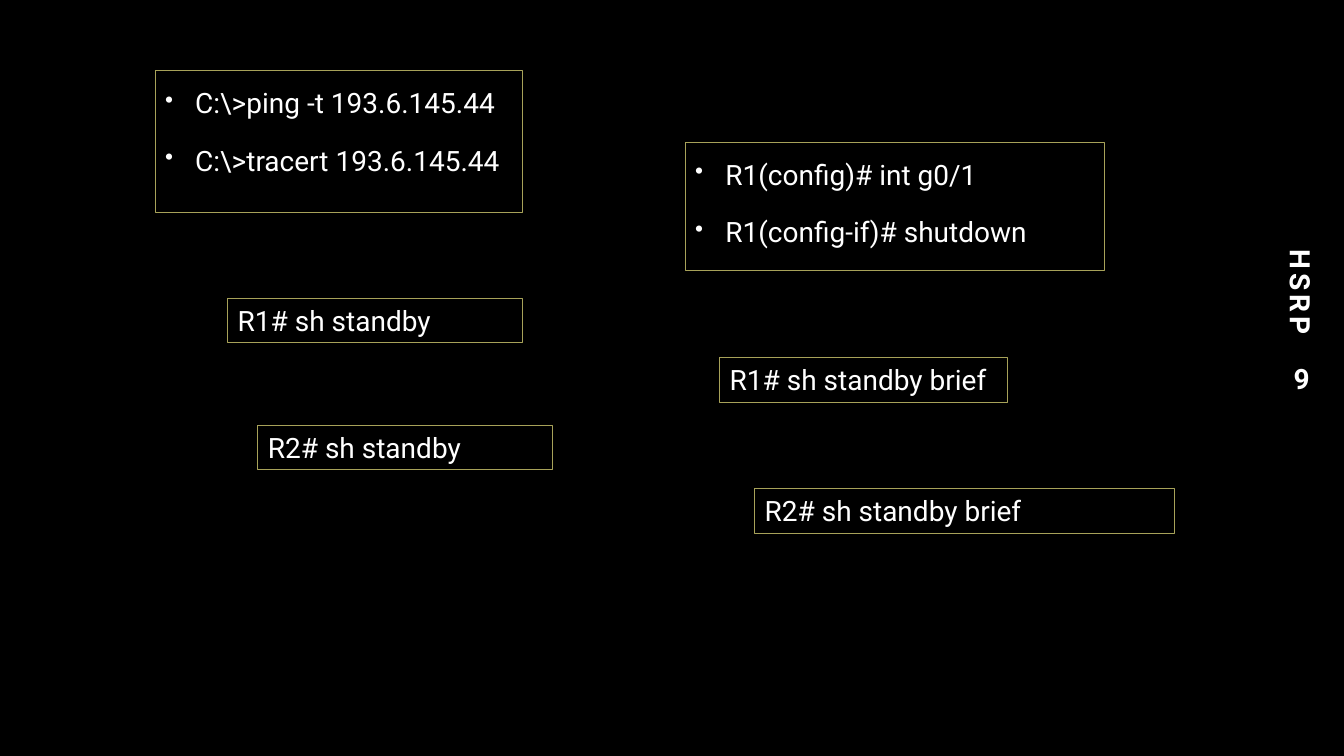
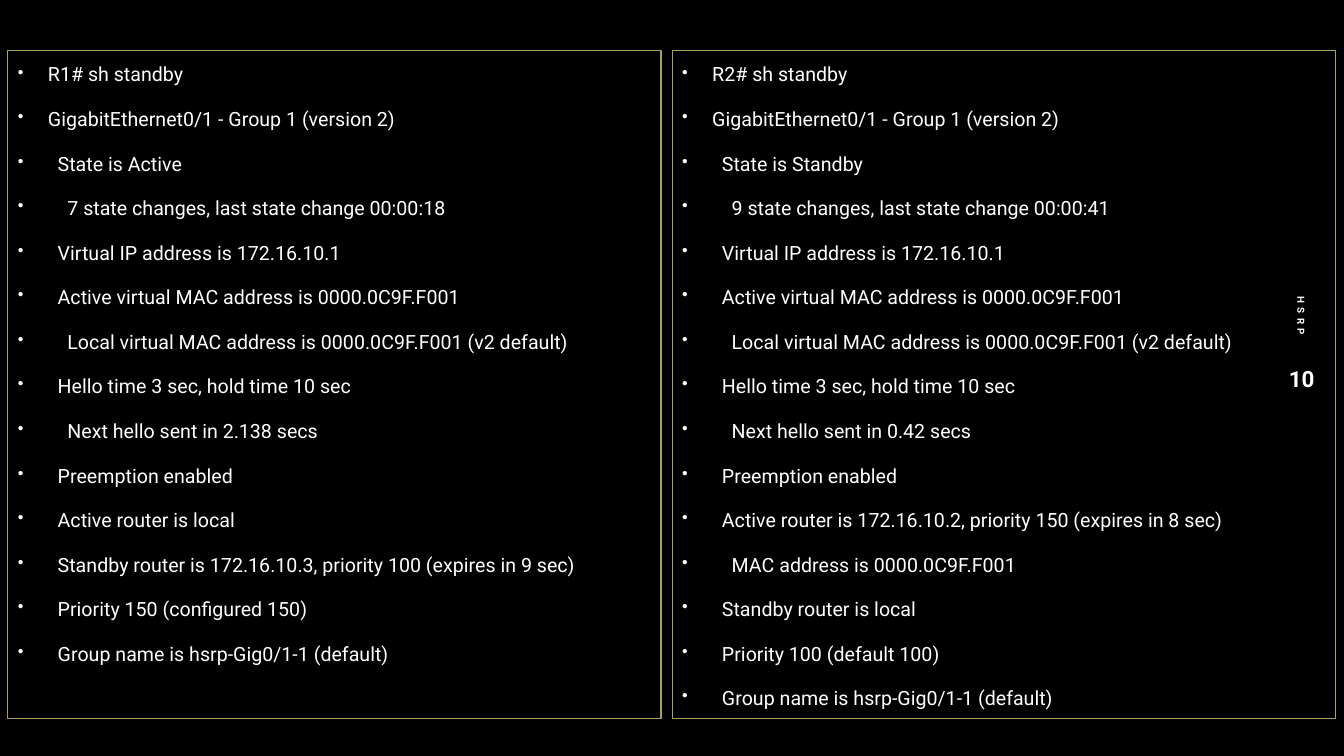
from lxml.etree import SubElement
from pptx import Presentation
from pptx.dml.color import RGBColor
from pptx.enum.text import MSO_ANCHOR, MSO_AUTO_SIZE, PP_ALIGN
from pptx.oxml.ns import qn
from pptx.util import Cm, Pt

COLOURS = {"background": "000000", "text": "FFFFFF", "border": "A7A259"}
FONT = "Roboto"
FOOTER = "HSRP"
COMMAND_HEIGHT = 1.12
OUTPUT_TOP, OUTPUT_HEIGHT = 1.27, 16.84

TEST_COMMANDS = [r"C:\>ping -t 193.6.145.44", r"C:\>tracert 193.6.145.44"]
SHUTDOWN_COMMANDS = ["R1(config)# int g0/1", "R1(config-if)# shutdown"]
COMMANDS = [
    ("R1# sh standby", 5.74, 7.52, 7.42),
    ("R1# sh standby brief", 18.14, 9.02, 7.26),
    ("R2# sh standby", 6.5, 10.72, 7.42),
    ("R2# sh standby brief", 19.02, 12.32, 10.57),
]
R1_OUTPUT = """R1# sh standby
GigabitEthernet0/1 - Group 1 (version 2)
  State is Active
    7 state changes, last state change 00:00:18
  Virtual IP address is 172.16.10.1
  Active virtual MAC address is 0000.0C9F.F001
    Local virtual MAC address is 0000.0C9F.F001 (v2 default)
  Hello time 3 sec, hold time 10 sec
    Next hello sent in 2.138 secs
  Preemption enabled
  Active router is local
  Standby router is 172.16.10.3, priority 100 (expires in 9 sec)
  Priority 150 (configured 150)
  Group name is hsrp-Gig0/1-1 (default)"""
R2_OUTPUT = """R2# sh standby
GigabitEthernet0/1 - Group 1 (version 2)
  State is Standby
    9 state changes, last state change 00:00:41
  Virtual IP address is 172.16.10.1
  Active virtual MAC address is 0000.0C9F.F001
    Local virtual MAC address is 0000.0C9F.F001 (v2 default)
  Hello time 3 sec, hold time 10 sec
    Next hello sent in 0.42 secs
  Preemption enabled
  Active router is 172.16.10.2, priority 150 (expires in 8 sec)
    MAC address is 0000.0C9F.F001
  Standby router is local
  Priority 100 (default 100)
  Group name is hsrp-Gig0/1-1 (default)"""


def colour(name):
    return RGBColor.from_string(COLOURS[name])


def add_box(page, left, top, width, height):
    box = page.shapes.add_textbox(Cm(left), Cm(top), Cm(width), Cm(height))
    box.text_frame.word_wrap = True
    return box


def add_border(box):
    box.line.color.rgb = colour("border")
    box.line.width = Pt(0.75)


def set_font(para, size, bold=False):
    font = para.font
    font.name = FONT
    font.size = Pt(size)
    font.bold = bold
    font.color.rgb = colour("text")


def add_bullet(para):
    properties = para._p.get_or_add_pPr()
    properties.set("marL", str(Cm(0.76)))
    properties.set("indent", str(Cm(-0.76)))
    SubElement(properties, qn("a:buSzPct"), val="85000")
    SubElement(properties, qn("a:buChar"), char="•")


def add_bullet_box(page, lines, place, size):
    box = add_box(page, *place)
    add_border(box)
    frame = box.text_frame
    for index, line in enumerate(lines):
        para = frame.add_paragraph() if index else frame.paragraphs[0]
        para.add_run().text = line
        add_bullet(para)
        para.line_spacing = 1.3
        para.space_before = Pt(10 if index else 0)
        set_font(para, size)


def add_command(page, text, left, top, width):
    box = add_box(page, left, top, width, COMMAND_HEIGHT)
    add_border(box)
    box.text_frame.auto_size = MSO_AUTO_SIZE.SHAPE_TO_FIT_TEXT
    para = box.text_frame.paragraphs[0]
    para.add_run().text = text
    set_font(para, 20)


def add_label(page, text, place, size, alignment):
    box = add_box(page, *place)
    box.text_frame.vertical_anchor = MSO_ANCHOR.MIDDLE
    para = box.text_frame.paragraphs[0]
    para.alignment = alignment
    para.add_run().text = text
    set_font(para, size, bold=True)
    return box


def add_footer(page, number, footer_size, number_size):
    footer = add_label(page, FOOTER, (29.08, 4.47, 7.42, 1.02), footer_size, PP_ALIGN.RIGHT)
    footer.rotation = 90
    span = footer.text_frame.paragraphs[0].runs[0]
    span._r.get_or_add_rPr().set("spc", "300")
    add_label(page, str(number), (31.93, 8.94, 1.75, 1.19), number_size, PP_ALIGN.CENTER)


def add_page(deck):
    return deck.slides.add_slide(deck.slide_layouts[6])


def build_commands_page(deck):
    page = add_page(deck)
    add_bullet_box(page, TEST_COMMANDS, (3.91, 1.78, 9.25, 3.58), 20)
    add_bullet_box(page, SHUTDOWN_COMMANDS, (17.27, 3.58, 10.57, 3.25), 20)
    for command in COMMANDS:
        add_command(page, *command)
    add_footer(page, 9, 20, 20)


def build_output_page(deck):
    page = add_page(deck)
    for output, left, width in ((R1_OUTPUT, 0.2, 16.46), (R2_OUTPUT, 16.94, 16.71)):
        place = (left, OUTPUT_TOP, width, OUTPUT_HEIGHT)
        add_bullet_box(page, output.splitlines(), place, 14)
    add_footer(page, 10, 7, 16)


def main():
    deck = Presentation()
    deck.slide_width, deck.slide_height = Cm(33.87), Cm(19.05)
    background = deck.slide_master.background.fill
    background.solid()
    background.fore_color.rgb = colour("background")
    build_commands_page(deck)
    build_output_page(deck)
    deck.save("out.pptx")


if __name__ == "__main__":
    main()
